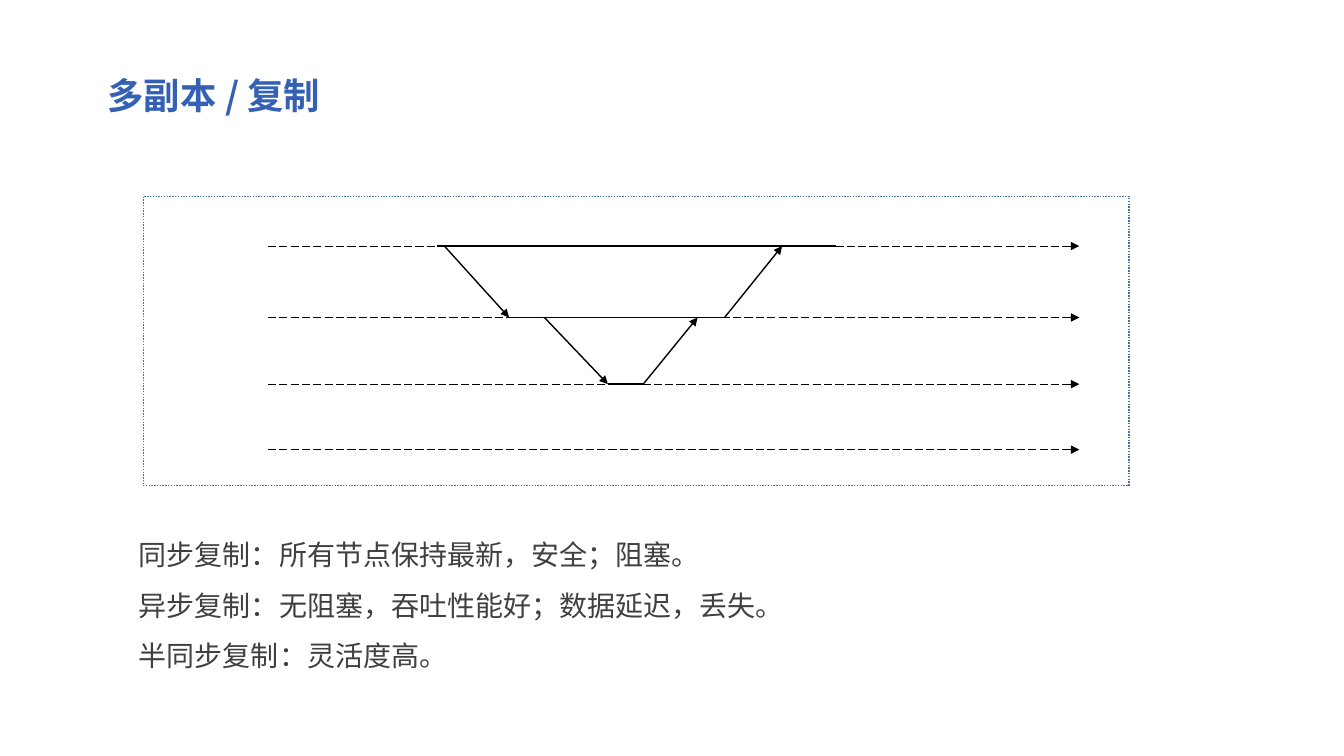
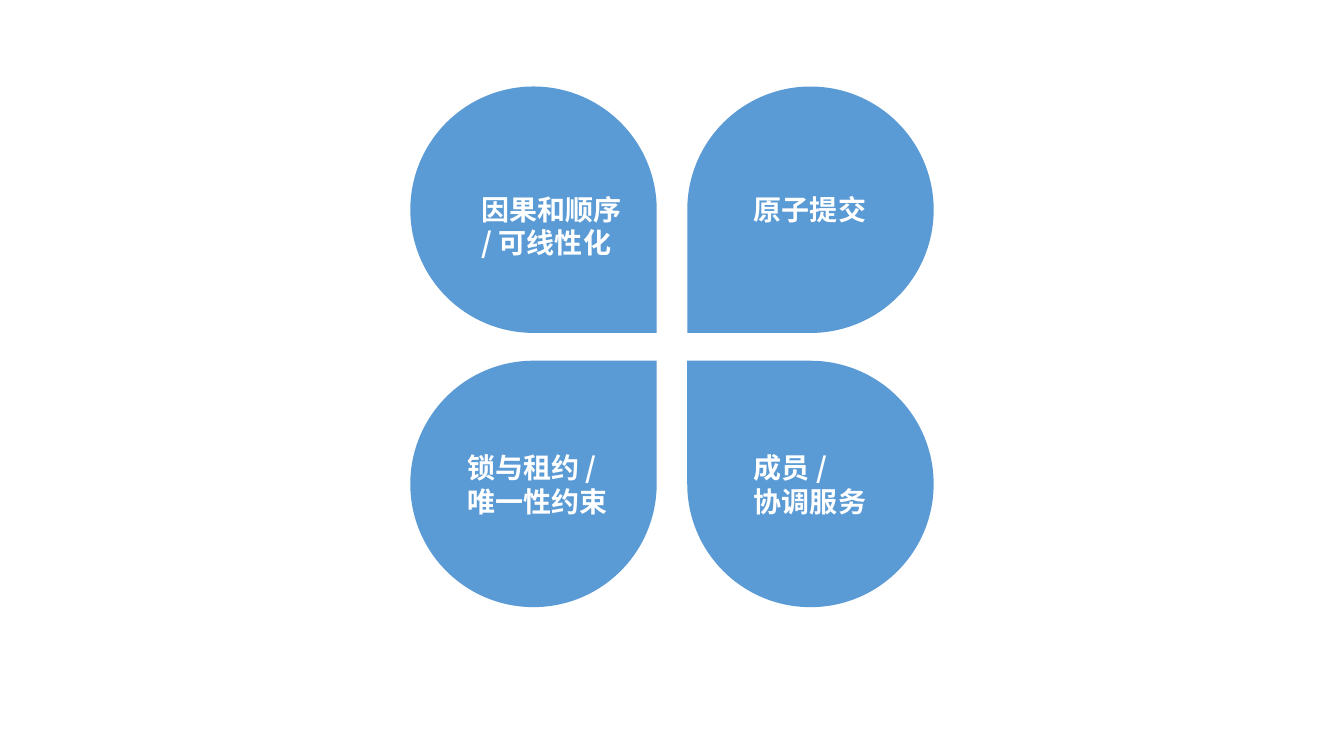
from lxml import etree
from pptx import Presentation
from pptx.dml.color import RGBColor
from pptx.enum import dml, shapes, text
from pptx.oxml import ns
from pptx.util import Cm, Pt

FONT = "Noto Sans CJK SC"
TITLE_BLUE = RGBColor(0x35, 0x61, 0xB4)
FRAME_BLUE = RGBColor(0x43, 0x73, 0x9E)
PETAL_BLUE = RGBColor(0x5B, 0x9B, 0xD5)
BODY_GRAY = RGBColor(0x40, 0x40, 0x40)
BLACK = RGBColor(0x00, 0x00, 0x00)
WHITE = RGBColor(0xFF, 0xFF, 0xFF)


def add_text(slide, box, lines, size, color, bold=False, wrap=True, spacing=1.0):
    frame = slide.shapes.add_textbox(*map(Cm, box)).text_frame
    frame.word_wrap = wrap
    frame.auto_size = text.MSO_AUTO_SIZE.SHAPE_TO_FIT_TEXT
    for i, line in enumerate(lines):
        paragraph = frame.add_paragraph() if i else frame.paragraphs[0]
        paragraph.line_spacing = spacing
        run = paragraph.add_run()
        run.text = line
        run.font.size = Pt(size)
        run.font.bold = bold
        run.font.name = FONT
        run.font.color.rgb = color
        # East Asian characters take their font from a separate element
        east_asian = etree.SubElement(run.font._element, ns.qn("a:ea"))
        east_asian.set("typeface", FONT)


def add_line(slide, start, end, width=1, dashed=False, arrow=False):
    line = slide.shapes.add_connector(
        shapes.MSO_CONNECTOR.STRAIGHT, *map(Cm, (*start, *end)))
    line.line.color.rgb = BLACK
    line.line.width = Pt(width)
    if dashed:
        line.line.dash_style = dml.MSO_LINE.LONG_DASH
    if arrow:
        tail = etree.SubElement(line.line._get_or_add_ln(), ns.qn("a:tailEnd"))
        tail.set("type", "triangle")
    etree.SubElement(line._element.spPr, ns.qn("a:effectLst"))


prs = Presentation()
prs.slide_width, prs.slide_height = Cm(33.87), Cm(19.05)
blank = prs.slide_layouts[6]

# Slide 1: replication between nodes
replication = prs.slides.add_slide(blank)
frame_box = replication.shapes.add_shape(
    shapes.MSO_SHAPE.RECTANGLE, Cm(3.61), Cm(4.95), Cm(24.84), Cm(7.29))
frame_box.shadow.inherit = False
frame_box.fill.background()
frame_box.line.color.rgb = FRAME_BLUE
frame_box.line.width = Pt(1)
frame_box.line.dash_style = dml.MSO_LINE.ROUND_DOT

# One time axis per node
NODE_Y = [6.2, 8.0, 9.68, 11.33]
for y in NODE_Y:
    add_line(replication, (6.75, y), (27.2, y), width=0.75, dashed=True, arrow=True)

# Busy periods: node, start, end
for node, start, end in [(0, 11.02, 21.06), (1, 12.83, 18.26), (2, 15.32, 16.21)]:
    add_line(replication, (start, NODE_Y[node]), (end, NODE_Y[node]))

# Messages: sending node, time sent, receiving node, time received
messages = [(0, 11.2, 1, 12.83), (1, 18.26, 0, 19.71),
            (1, 13.72, 2, 15.32), (2, 16.21, 1, 17.58)]
for sender, sent, receiver, received in messages:
    add_line(replication, (sent, NODE_Y[sender]), (received, NODE_Y[receiver]),
             arrow=True)

add_text(replication, (3.25, 13.0, 27.48, 4.11),
         ["同步复制：所有节点保持最新，安全；阻塞。",
          "异步复制：无阻塞，吞吐性能好；数据延迟，丢失。",
          "半同步复制：灵活度高。"],
         20, BODY_GRAY, spacing=1.5)
add_text(replication, (2.46, 1.73, 29.39, 1.37), ["多副本 / 复制"],
         26, TITLE_BLUE, bold=True)

# Slide 2: four petals pointing at the centre
consensus = prs.slides.add_slide(blank)
PETAL = 6.21
LEFT, RIGHT, TOP, BOTTOM = 10.34, 17.32, 2.18, 9.09

# Petal left and top, rotation, label left, top and width, label lines
petals = [
    (LEFT, TOP, 90, 11.89, 4.72, 4.06, ["因果和顺序", "/ 可线性化"]),
    (RIGHT, TOP, 180, 18.75, 4.72, 3.35, ["原子提交"]),
    (LEFT, BOTTOM, 0, 11.53, 11.23, 4.06, ["锁与租约 /", "唯一性约束"]),
    (RIGHT, BOTTOM, 270, 18.75, 11.23, 3.35, ["成员 /", "协调服务"]),
]
for left, top, rotation, label_left, label_top, label_width, lines in petals:
    petal = consensus.shapes.add_shape(
        shapes.MSO_SHAPE.TEAR, Cm(left), Cm(top), Cm(PETAL), Cm(PETAL))
    petal.rotation = rotation
    petal.shadow.inherit = False
    petal.fill.solid()
    petal.fill.fore_color.rgb = PETAL_BLUE
    petal.line.fill.background()
    label_height = 0.28 + 0.84 * len(lines)
    add_text(consensus, (label_left, label_top, label_width, label_height), lines,
             20, WHITE, bold=True, wrap=False)

prs.save("out.pptx")
